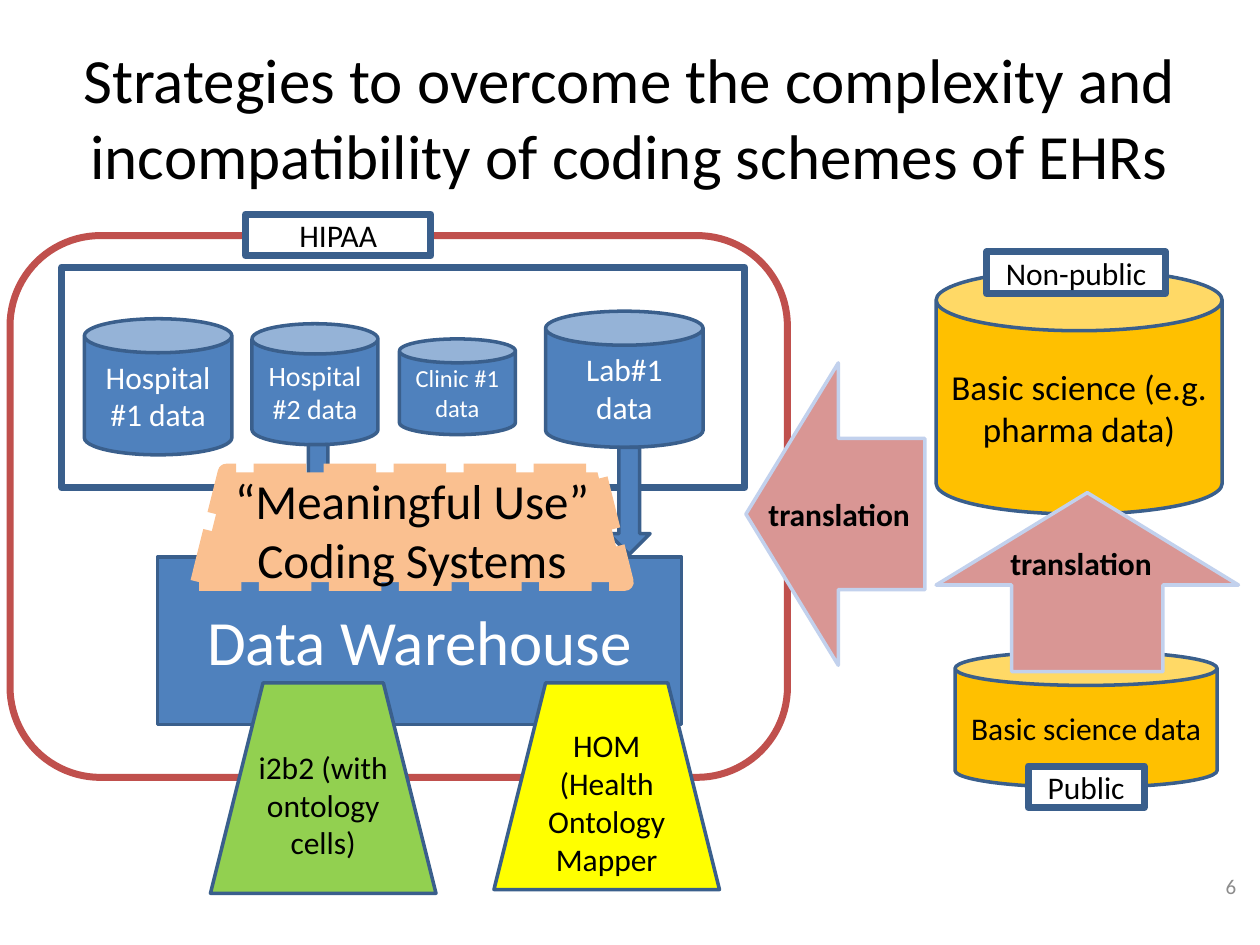
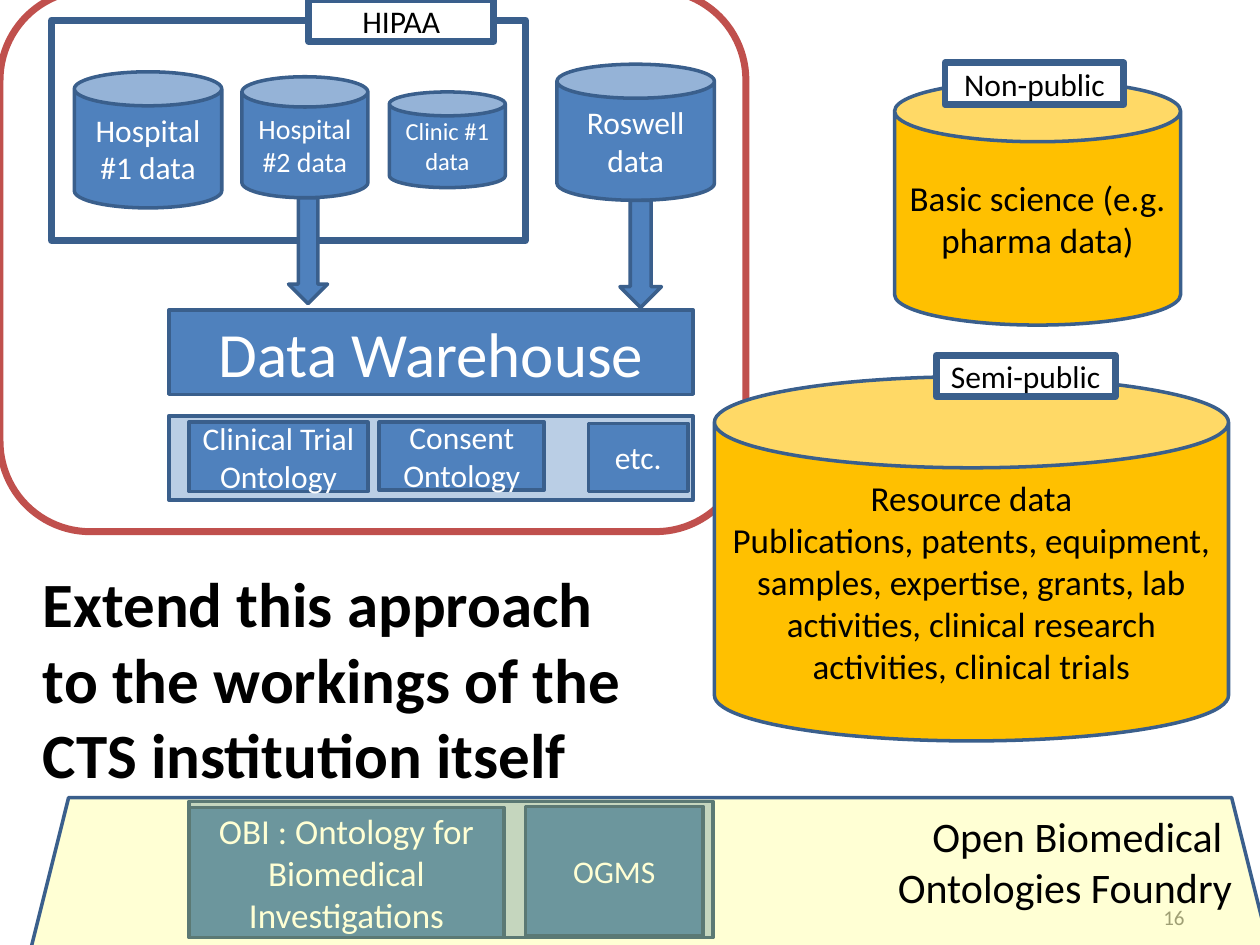
from pptx import Presentation
from pptx.dml.color import RGBColor
from pptx.enum.dml import MSO_LINE
from pptx.enum.shapes import MSO_SHAPE as Kind
from pptx.enum.text import MSO_ANCHOR as Anchor, MSO_AUTO_SIZE as Fit, PP_ALIGN as Align
from pptx.oxml.ns import qn
from pptx.util import Inches, Pt
from lxml.etree import SubElement

FONT = "Calibri"
BLUE, EDGE, GOLD, RED = "4F81BD", "3A5F8C", "FFC000", "C0504D"
BLACK, WHITE, GREY, PEACH = "000000", "FFFFFF", "8C8C8C", "FAC090"

# Look of each part: fill, line, line width, text colour, opacity in percent
LOOKS = {
    "data": dict(fill=BLUE, ink=WHITE),
    "gold": dict(fill=GOLD),
    "tag": dict(fill=WHITE, width=4),
    "zone": dict(fill=None, line=RED, width=4),
    "band": dict(fill=BLUE, alpha=39),
    "base": dict(fill="FFFF00", alpha=17),
    "move": dict(fill="D99694", line="C2D1ED"),
    "code": dict(fill=PEACH, line=PEACH, width=10, dash=True),
    "green": dict(fill="92D050"),
    "yellow": dict(fill="FFFF00"),
}
CAN, RECT, TRAP = Kind.CAN, Kind.RECTANGLE, Kind.TRAPEZOID
ROUND, DOWN, RIGHT = Kind.ROUNDED_RECTANGLE, Kind.DOWN_ARROW, Kind.RIGHT_ARROW

# Data sources, placed from the corner of their frame: kind, look, box, text, size
SITES = [
    (CAN, "data", (0.18, 0.41, 1.17, 1.08), "Hospital #1 data", 18),
    (CAN, "data", (1.51, 0.45, 1, 0.96), "Hospital #2 data", 16),
    (CAN, "data", (2.68, 0.57, 0.92, 0.76), "Clinic #1 data", 14),
    (DOWN, "data", (1.88, 1.41, 0.31, 0.84)),
]
# A lone source and its arrow, placed from the corner of the can
LAB = [
    (CAN, "data", (0, 0, 1.25, 1.08), None, 18),
    (DOWN, "data", (0.5, 1.08, 0.33, 0.85)),
]

EHR = dict(
    title="Strategies to overcome the complexity and incompatibility of coding schemes of EHRs",
    spot=(0.33, 0.3, 9.33, 1.25),
    format=dict(align=Align.CENTER, anchor=Anchor.MIDDLE),
    frame=(0.49, 2.12, 5.42, 1.75),
    zone=(0.08, 1.87, 6.17, 4.3),
    hipaa=(1.95, 1.7), lab=(4.33, 2.47, "Lab#1 data"),
    store=(1.25, 4.42, 4.16, 1.33),
    basic=(7.43, 2.14), closed=(7.83, 2),
    page=("6", (7.58, 6.83, 2.33, 0.4)),
)
EHR_PARTS = [
    (CAN, "gold", (7.58, 5.17, 2.08, 1.08), "Basic science data", 18),
    (RECT, "tag", (8.16, 6.08, 0.92, 0.33), "Public", 18),
    (TRAP, "code", (1.58, 3.75, 3.38, 0.87), "“Meaningful Use”\nCoding Systems", 28),
    (TRAP, "green", (1.67, 5.42, 1.79, 1.67), "i2b2 (with ontology cells)", 18),
    (TRAP, "yellow", (3.92, 5.42, 1.79, 1.64), "HOM (Health Ontology Mapper", 18),
]
# Translation arrows: arrow corner, turn, label corner
MOVES = [((7.92, 3.42), 270, (7.92, 4.27)), ((5.92, 2.88), 180, (6, 3.88))]

CTS = dict(
    title="Extend this approach to the workings of the CTS institution itself",
    spot=(0.24, 4.43, 5, 1.92),
    format=dict(align=Align.LEFT, anchor=Anchor.TOP, bold=True),
    frame=(0.41, 0.16, 3.76, 1.75),
    zone=(0, -0.08, 5.92, 4.3),
    hipaa=(2.45, 0), lab=(4.42, 0.51, "Roswell data"),
    store=(1.34, 2.46, 4.16, 0.67),
    basic=(7.1, 0.64), closed=(7.5, 0.5),
    page=("16", (7.17, 7.08, 2.33, 0.4)),
)
RESOURCE = ("Resource data\nPublications, patents, equipment, samples, expertise, grants, "
            "lab activities, clinical research activities, clinical trials")
CTS_PARTS = [
    (RECT, "band", (1.34, 3.3, 4.16, 0.67)),
    (RECT, "data", (1.5, 3.35, 1.42, 0.55), "Clinical Trial Ontology", 18),
    (RECT, "data", (3.01, 3.35, 1.31, 0.54), "Consent Ontology", 18),
    (RECT, "data", (4.67, 3.36, 0.79, 0.54), "etc.", 18),
    (CAN, "gold", (5.67, 2.99, 4.08, 2.89), RESOURCE, 20),
    (RECT, "tag", (7.43, 2.82, 1.42, 0.33), "Semi-public", 18),
    (RECT, "band", (1.5, 6.36, 4.16, 1.08)),
    (RECT, "data", (1.5, 6.41, 2.5, 1.03), "OBI : Ontology for Biomedical Investigations", 20),
    (RECT, "data", (4.17, 6.4, 1.41, 1.03), "OGMS", 18),
]
FOUNDRY = "Open Biomedical \nOntologies Foundry"


def color(code):
    return RGBColor.from_string(code)


def inches(box):
    return [Inches(n) for n in box]


def write(shape, text, size=18, ink=BLACK, bold=False,
          align=Align.CENTER, anchor=Anchor.MIDDLE, top=0.05):
    frame = shape.text_frame
    frame.text = text
    frame.word_wrap = True
    frame.auto_size = Fit.NONE
    frame.vertical_anchor = anchor
    frame.margin_top = Inches(top)
    for para in frame.paragraphs:
        para.alignment = align
        font = para.font
        font.name, font.size, font.bold = FONT, Pt(size), bold
        font.color.rgb = color(ink)


def label(slide, text, box, **form):
    write(slide.shapes.add_textbox(*inches(box)), text, **form)


def draw(slide, kind, look, box, text=None, size=18, **form):
    style = LOOKS[look]
    shape = slide.shapes.add_shape(kind, *inches(box))
    shape.shadow.inherit = False
    if style["fill"]:
        shape.fill.solid()
        shape.fill.fore_color.rgb = color(style["fill"])
        if "alpha" in style:
            tint = shape.fill._xPr.find(qn("a:solidFill"))[0]
            SubElement(tint, qn("a:alpha")).set("val", str(style["alpha"] * 1000))
    else:
        shape.fill.background()
    shape.line.color.rgb = color(style.get("line", EDGE))
    shape.line.width = Pt(style.get("width", 2))
    if style.get("dash"):
        shape.line.dash_style = MSO_LINE.SQUARE_DOT
    if text:
        write(shape, text, size, style.get("ink", BLACK), **form)
    return shape


def place(slide, parts, left, top, name=None):
    """Draw parts measured from one corner; name fills in a missing text."""
    for kind, look, (x, y, w, h), *words in parts:
        if words and words[0] is None:
            words[0] = name
        draw(slide, kind, look, (left + x, top + y, w, h), *words)


def start(deck, plan):
    """Add a slide with its heading and the parts that both slides share."""
    slide = deck.slides.add_slide(deck.slide_layouts[5])
    head = slide.shapes.title
    head.left, head.top, head.width, head.height = inches(plan["spot"])
    write(head, plan["title"], 36, **plan["format"])

    draw(slide, RECT, "tag", plan["frame"])
    draw(slide, ROUND, "zone", plan["zone"])
    draw(slide, RECT, "tag", (*plan["hipaa"], 1.47, 0.33), "HIPAA")
    place(slide, SITES, *plan["frame"][:2])
    place(slide, LAB, *plan["lab"])
    draw(slide, RECT, "data", plan["store"], "Data Warehouse", 36)
    draw(slide, CAN, "gold", (*plan["basic"], 2.27, 1.94),
         "Basic science (e.g. pharma data)", 20)
    draw(slide, RECT, "tag", (*plan["closed"], 1.42, 0.33), "Non-public")
    label(slide, *plan["page"], size=12, ink=GREY, align=Align.RIGHT)
    return slide


def main():
    deck = Presentation()
    deck.slide_width, deck.slide_height = Inches(10), Inches(7.5)

    ehr = start(deck, EHR)
    place(ehr, EHR_PARTS, 0, 0)
    for spot, turn, words in MOVES:
        arrow = draw(ehr, RIGHT, "move", (*spot, 1.42, 2.4))
        arrow.rotation = turn
        arrow.adjustments[0], arrow.adjustments[1] = 0.5, 0.516
        label(ehr, "translation", (*words, 1.5, 0.71), bold=True,
              align=Align.LEFT, anchor=Anchor.TOP)

    cts = start(deck, CTS)
    place(cts, CTS_PARTS, 0, 0)
    draw(cts, TRAP, "base", (0.24, 6.33, 9.84, 1.22), FOUNDRY, 24,
         align=Align.RIGHT, anchor=Anchor.TOP, top=0.08)

    deck.save("out.pptx")


if __name__ == "__main__":
    main()
